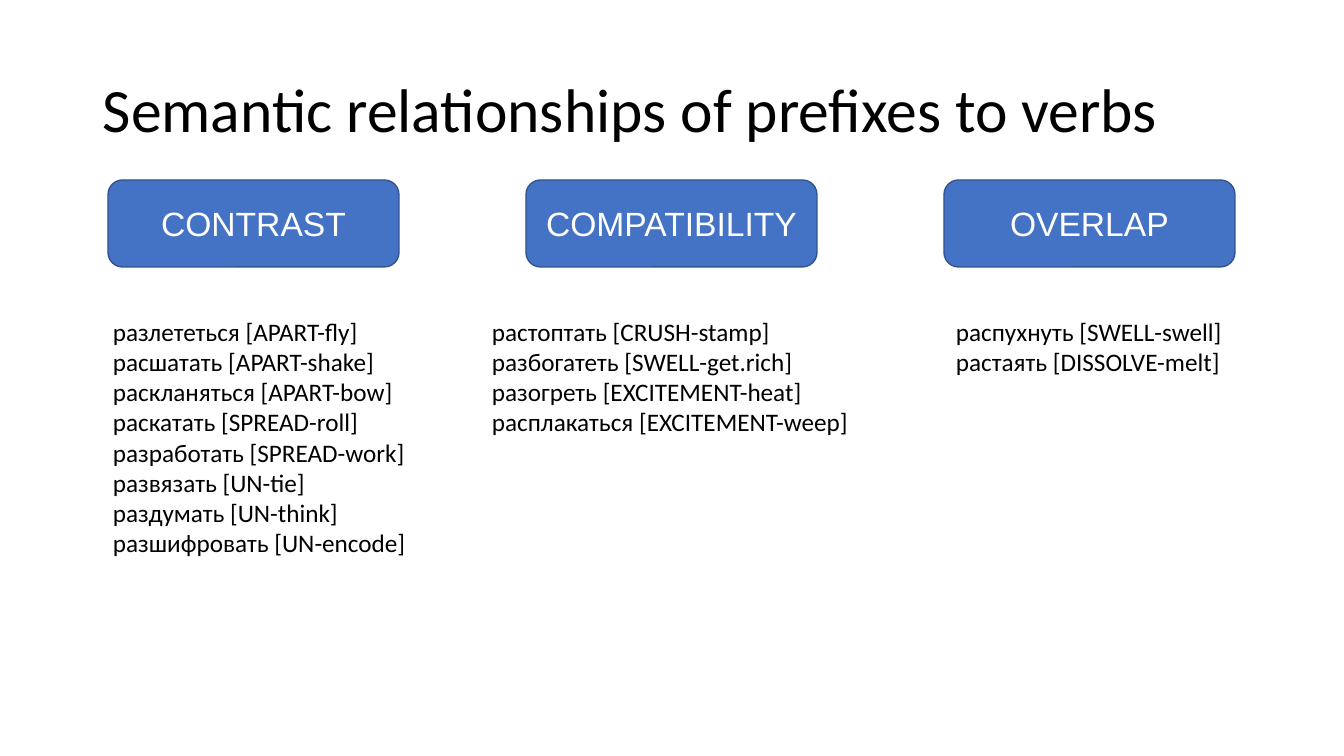
import pptx
import pptx.util
import pptx.dml.color
import pptx.enum.shapes
import pptx.enum.text

RGB = pptx.dml.color.RGBColor
BLACK = RGB(0x00, 0x00, 0x00)
WHITE = RGB(0xFF, 0xFF, 0xFF)
BLUE = RGB(0x44, 0x72, 0xC4)
NAVY = RGB(0x32, 0x54, 0x91)
ALIGN = pptx.enum.text.PP_ALIGN
ANCHOR = pptx.enum.text.MSO_ANCHOR
FIT = pptx.enum.text.MSO_AUTO_SIZE
ROUND = pptx.enum.shapes.MSO_SHAPE.ROUNDED_RECTANGLE
SCALE = 914400 / 100.8


def px(*sizes):
    """Turn pixel lengths into EMU."""
    return [pptx.util.Emu(round(size * SCALE)) for size in sizes]


def write(shape, text, size, font="Calibri", color=BLACK, align=ALIGN.LEFT,
          anchor=ANCHOR.TOP, wrap=True, fit=FIT.NONE, space=1.0):
    """Fill a shape with one paragraph for each line of text."""
    frame = shape.text_frame
    frame.text = text
    frame.word_wrap = wrap
    frame.auto_size = fit
    frame.vertical_anchor = anchor
    for para in frame.paragraphs:
        para.alignment = align
        para.line_spacing = space
        para.font.name = font
        para.font.size = pptx.util.Pt(size)
        para.font.color.rgb = color


deck = pptx.Presentation()
deck.slide_width, deck.slide_height = px(1344, 756)
slide = deck.slides.add_slide(deck.slide_layouts[6])
shapes = slide.shapes

title = shapes.add_textbox(*px(93, 40, 1159, 146))
write(title, "Semantic relationships of prefixes to verbs", 44,
      anchor=ANCHOR.MIDDLE, space=0.9)

# Heading, left and width of the verb list, verbs
groups = [
    ("CONTRAST", 103, 316, [
        "разлететься [APART-fly]",
        "расшатать [APART-shake]",
        "раскланяться [APART-bow]",
        "раскатать [SPREAD-roll]",
        "разработать [SPREAD-work]",
        "развязать [UN-tie]",
        "раздумать [UN-think]",
        "разшифровать [UN-encode]",
    ]),
    ("COMPATIBILITY", 482, 380, [
        "растоптать [CRUSH-stamp]",
        "разбогатеть [SWELL-get.rich]",
        "разогреть [EXCITEMENT-heat]",
        "расплакаться [EXCITEMENT-weep]",
    ]),
    ("OVERLAP", 946, 288, [
        "распухнуть [SWELL-swell]",
        "растаять [DISSOLVE-melt]",
    ]),
]

for col, (name, left, width, verbs) in enumerate(groups):
    head = shapes.add_shape(ROUND, *px(108 + 418 * col, 180, 291, 87))
    head.shadow.inherit = False
    head.fill.solid()
    head.fill.fore_color.rgb = BLUE
    head.line.color.rgb = NAVY
    head.line.width = pptx.util.Pt(1)
    write(head, name, 24, font="Arial", color=WHITE,
          align=ALIGN.CENTER, anchor=ANCHOR.MIDDLE)

    words = shapes.add_textbox(*px(left, 311, width, 12 + 30 * len(verbs)))
    write(words, "\n".join(verbs), 18, wrap=False, fit=FIT.SHAPE_TO_FIT_TEXT)

deck.save("out.pptx")
